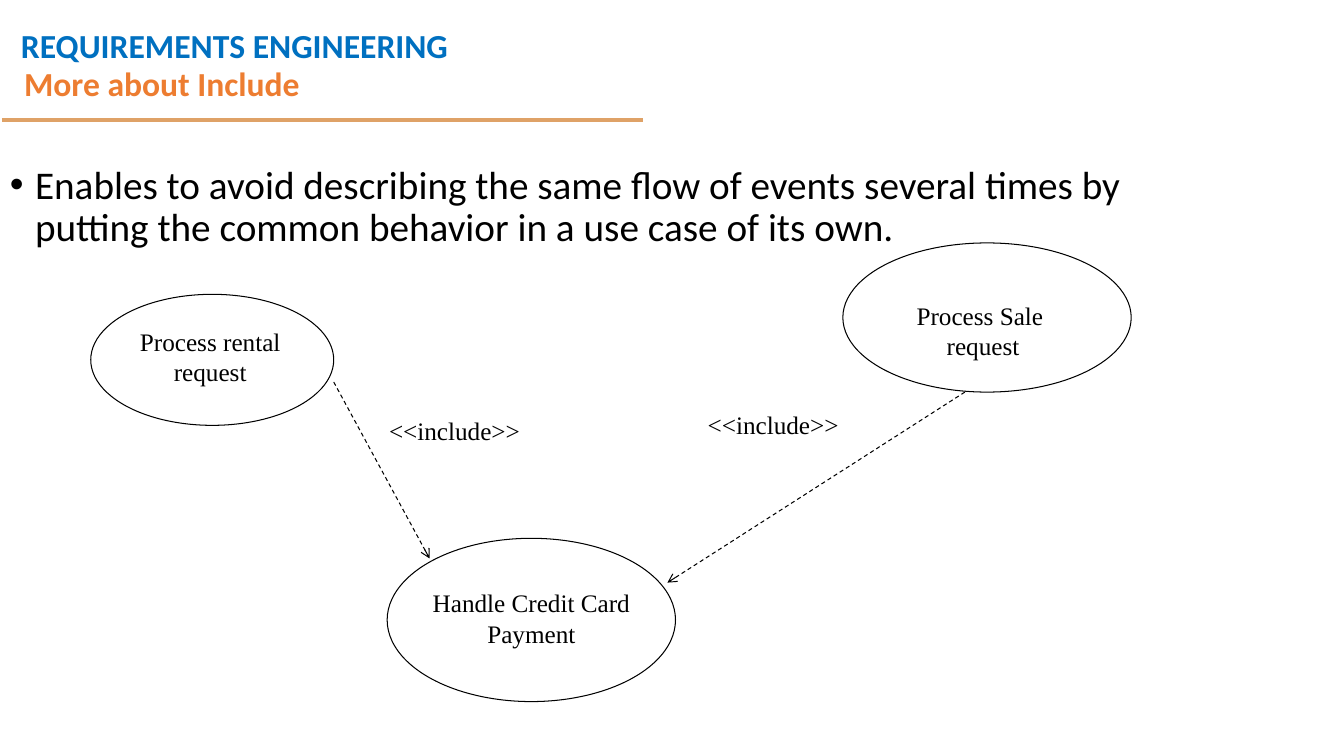
from dataclasses import dataclass

from lxml.etree import SubElement
from pptx import Presentation
from pptx.dml.color import RGBColor
from pptx.enum.dml import MSO_LINE
from pptx.enum.shapes import MSO_CONNECTOR, MSO_SHAPE
from pptx.enum.text import MSO_ANCHOR, PP_ALIGN
from pptx.oxml.ns import qn
from pptx.slide import Slide
from pptx.util import Emu, Pt

EMU_PER_PX = 9144  # 100 px to the inch
COLORS = {"black": "000000", "blue": "0070C0", "orange": "ED7D31", "rule": "DFA267"}
HEADING_FONT, DIAGRAM_FONT = "Calibri", "Times New Roman"


@dataclass(frozen=True)
class Box:
    left: int
    top: int
    width: int
    height: int

    def emu(self) -> list[Emu]:
        return [px(n) for n in (self.left, self.top, self.width, self.height)]


@dataclass(frozen=True)
class UseCase:
    label: str
    ellipse: Box
    label_box: Box


@dataclass(frozen=True)
class Include:
    start: tuple[int, int]
    end: tuple[int, int]
    label_box: Box


USE_CASES = [
    UseCase("Process rental request", Box(90, 292, 241, 130), Box(98, 319, 221, 71)),
    UseCase("Process Sale \vrequest", Box(836, 241, 286, 148), Box(844, 293, 262, 71)),
    UseCase("Handle Credit Card Payment", Box(384, 534, 286, 162), Box(396, 578, 262, 71)),
]
INCLUDES = [
    Include((331, 379), (426, 554), Box(376, 407, 205, 70)),
    Include((957, 389), (662, 578), Box(692, 401, 205, 70)),
]


def px(length: int) -> Emu:
    return Emu(length * EMU_PER_PX)


def rgb(name: str) -> RGBColor:
    return RGBColor.from_string(COLORS[name])


def add_text(slide: Slide, text: str, box: Box, *, size: int = 18,
             font: str = DIAGRAM_FONT, color: str = "black", bold: bool = False,
             align: PP_ALIGN = PP_ALIGN.LEFT, anchor: MSO_ANCHOR = MSO_ANCHOR.TOP,
             spacing: float = 1.0, bullet_indent: int = 0) -> None:
    frame = slide.shapes.add_textbox(*box.emu()).text_frame
    frame.word_wrap = True
    frame.vertical_anchor = anchor
    paragraph = frame.paragraphs[0]
    paragraph.text = text
    paragraph.alignment = align
    paragraph.line_spacing = spacing
    if bullet_indent:
        properties = paragraph._p.get_or_add_pPr()
        properties.set("marL", str(px(bullet_indent)))
        properties.set("indent", str(-px(bullet_indent)))
        SubElement(properties, qn("a:buFont"), typeface="Arial")
        SubElement(properties, qn("a:buChar"), char="•")
    for run in paragraph.runs:
        run.font.name = font
        run.font.size = Pt(size)
        run.font.bold = bold
        run.font.color.rgb = rgb(color)


def add_line(slide: Slide, start: tuple[int, int], end: tuple[int, int], *,
             color: str = "black", width: float = 0.75, dashed_arrow: bool = False) -> None:
    connector = slide.shapes.add_connector(
        MSO_CONNECTOR.STRAIGHT, *(px(n) for n in (*start, *end)))
    connector.line.color.rgb = rgb(color)
    connector.line.width = Pt(width)
    if dashed_arrow:
        connector.line.dash_style = MSO_LINE.DASH
        SubElement(connector.line._get_or_add_ln(), qn("a:tailEnd"), type="arrow")
    SubElement(connector._element.spPr, qn("a:effectLst"))


def add_use_case(slide: Slide, use_case: UseCase) -> None:
    ellipse = slide.shapes.add_shape(MSO_SHAPE.OVAL, *use_case.ellipse.emu())
    ellipse.shadow.inherit = False
    ellipse.fill.background()
    ellipse.line.color.rgb = rgb("black")
    ellipse.line.width = Pt(0.75)
    add_text(slide, use_case.label, use_case.label_box, align=PP_ALIGN.CENTER)


def add_include(slide: Slide, include: Include) -> None:
    add_line(slide, include.start, include.end, dashed_arrow=True)
    add_text(slide, "<<include>>", include.label_box)


def main() -> None:
    presentation = Presentation()
    presentation.slide_width, presentation.slide_height = px(1333), px(750)
    slide = presentation.slides.add_slide(presentation.slide_layouts[6])

    add_text(slide, "REQUIREMENTS ENGINEERING", Box(11, 0, 461, 64), size=24,
             font=HEADING_FONT, color="blue", bold=True, spacing=1.5)
    add_line(slide, (2, 119), (638, 119), color="rule", width=3)
    add_text(slide, "More about Include", Box(14, 54, 1150, 61), size=24,
             font=HEADING_FONT, color="orange", bold=True,
             anchor=MSO_ANCHOR.MIDDLE, spacing=0.9)
    add_text(slide, "Enables to avoid describing the same flow of events several times by "
             "putting the common behavior in a use case of its own.",
             Box(0, 159, 1150, 476), size=28, font=HEADING_FONT,
             spacing=0.9, bullet_indent=25)
    for use_case in USE_CASES:
        add_use_case(slide, use_case)
    for include in INCLUDES:
        add_include(slide, include)

    presentation.save("out.pptx")


if __name__ == "__main__":
    main()
